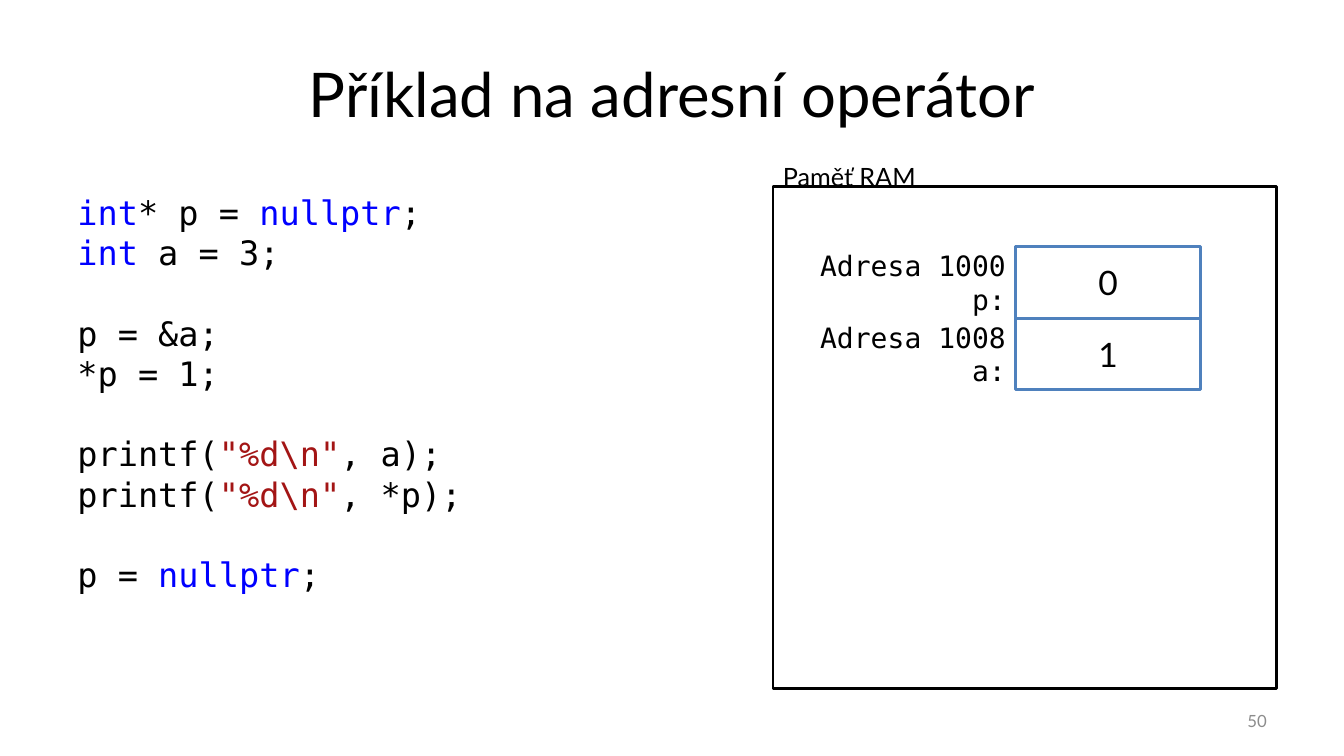
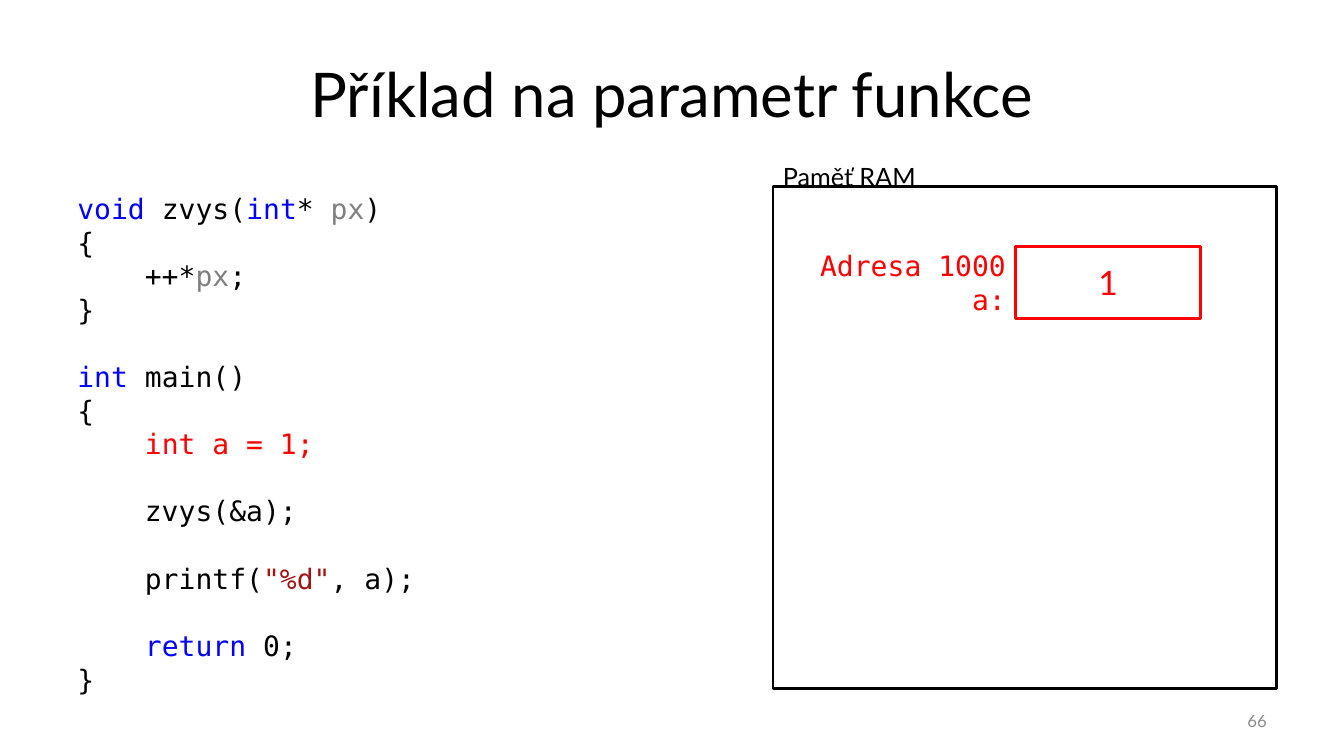
from pptx import Presentation
from pptx.dml.color import RGBColor
from pptx.enum.shapes import MSO_SHAPE as Shape
from pptx.enum.text import MSO_ANCHOR as Anchor, MSO_AUTO_SIZE as AutoSize, PP_ALIGN as Align
from pptx.util import Cm, Pt

BLACK, WHITE, GRAY = "000000", "FFFFFF", "8C8C8C"
CELL_BLUE, RED = "4F81BD", "FF0000"
KEYWORD, STRING, PARAMETER = "0000FF", "A31515", "808080"
SANS, MONO = "Lato", "DejaVu Sans Mono"
LINE_HEIGHT = 1.2
LEFT, CONTENT_WIDTH = 1.7, 30.48
MEMORY_LEFT, MEMORY_TOP, MEMORY_WIDTH, MEMORY_HEIGHT = 19.48, 4.7, 12.7, 12.65
CELL_LEFT, CELL_TOP, CELL_WIDTH, CELL_HEIGHT = 25.6, 6.22, 4.65, 1.8
FIRST_ADDRESS, ADDRESS_STEP = 1000, 8


def color(hex_code):
    return RGBColor.from_string(hex_code)


def keyword(text):
    return text, KEYWORD


def string(text):
    return text, STRING


def parameter(text):
    return text, PARAMETER


POINTER_CODE = [
    [keyword("int"), "* p = ", keyword("nullptr"), ";"],
    [keyword("int"), " a = 3;"],
    [],
    ["p = &a;"],
    ["*p = 1;"],
    [],
    ["printf(", string('"%d\\n"'), ", a);"],
    ["printf(", string('"%d\\n"'), ", *p);"],
    [],
    ["p = ", keyword("nullptr"), ";"],
]

FUNCTION_CODE = [
    [keyword("void"), " zvys(", keyword("int"), "* ", parameter("px"), ")"],
    ["{"],
    ["    ++*", parameter("px"), ";"],
    ["}"],
    [],
    [keyword("int"), " main()"],
    ["{"],
    ["    ", ("int a = 1;", RED)],
    [],
    ["    zvys(&a);"],
    [],
    ["    printf(", string('"%d"'), ", a);"],
    [],
    ["    ", keyword("return"), " 0;"],
    ["}"],
]


def write(frame, lines, size=24, font=SANS, ink=BLACK, align=Align.LEFT, anchor=Anchor.TOP):
    frame.word_wrap = True
    frame.auto_size = AutoSize.NONE
    frame.vertical_anchor = anchor
    para, gap = None, 0
    for line in lines:
        if not line:
            gap += size * LINE_HEIGHT
            continue
        para = frame.add_paragraph() if para else frame.paragraphs[0]
        para.alignment = align
        para.space_before = Pt(gap)
        gap = 0
        for part in line:
            text, shade = (part, ink) if isinstance(part, str) else part
            span = para.add_run()
            span.text = text
            span.font.name = font
            span.font.size = Pt(size)
            span.font.color.rgb = color(shade)


def add_text(page, lines, left, top, width, height, **style):
    box = page.shapes.add_textbox(Cm(left), Cm(top), Cm(width), Cm(height))
    write(box.text_frame, lines, **style)


def add_box(page, left, top, width, height, outline):
    box = page.shapes.add_shape(Shape.RECTANGLE, Cm(left), Cm(top), Cm(width), Cm(height))
    box.shadow.inherit = False
    box.fill.solid()
    box.fill.fore_color.rgb = color(WHITE)
    box.line.color.rgb = color(outline)
    box.line.width = Pt(2)
    return box


def add_page(deck, title, number):
    page = deck.slides.add_slide(deck.slide_layouts[5])
    heading = page.shapes.title
    heading.left, heading.top = Cm(LEFT), Cm(0.76)
    heading.width, heading.height = Cm(CONTENT_WIDTH), Cm(3.18)
    write(heading.text_frame, [[title]], size=44, align=Align.CENTER, anchor=Anchor.MIDDLE)
    add_text(page, [[number]], 24.28, 17.65, 7.9, 1.02, size=12, ink=GRAY,
             align=Align.RIGHT, anchor=Anchor.MIDDLE)
    return page


def add_code(page, lines, size):
    height = len(lines) * size * LINE_HEIGHT * 2.54 / 72 + 0.25
    add_text(page, lines, LEFT, MEMORY_TOP, 12.7, height, size=size, font=MONO)


def add_memory(page, variables, outline=CELL_BLUE, ink=BLACK):
    add_box(page, MEMORY_LEFT, MEMORY_TOP, MEMORY_WIDTH, MEMORY_HEIGHT, BLACK)
    add_text(page, [["Paměť RAM"]], MEMORY_LEFT, 3.93, 4.72, 1.02, size=18)
    for index, (name, value) in enumerate(variables):
        top = CELL_TOP + index * CELL_HEIGHT
        cell = add_box(page, CELL_LEFT, top, CELL_WIDTH, CELL_HEIGHT, outline)
        write(cell.text_frame, [[value]], ink=ink, align=Align.CENTER, anchor=Anchor.MIDDLE)
        address = FIRST_ADDRESS + index * ADDRESS_STEP
        add_text(page, [[f"Adresa {address}"], [f"{name}:"]], 20.3, top, CELL_LEFT - 20.3,
                 CELL_HEIGHT, size=20, font=MONO, ink=ink, align=Align.RIGHT,
                 anchor=Anchor.MIDDLE)


def main():
    deck = Presentation()
    deck.slide_width, deck.slide_height = Cm(33.87), Cm(19.05)

    page = add_page(deck, "Příklad na adresní operátor", "50")
    add_memory(page, [("p", "0"), ("a", "1")])
    add_code(page, POINTER_CODE, 24)

    page = add_page(deck, "Příklad na parametr funkce", "66")
    add_memory(page, [("a", "1")], outline=RED, ink=RED)
    add_code(page, FUNCTION_CODE, 20)

    deck.save("out.pptx")


if __name__ == "__main__":
    main()
